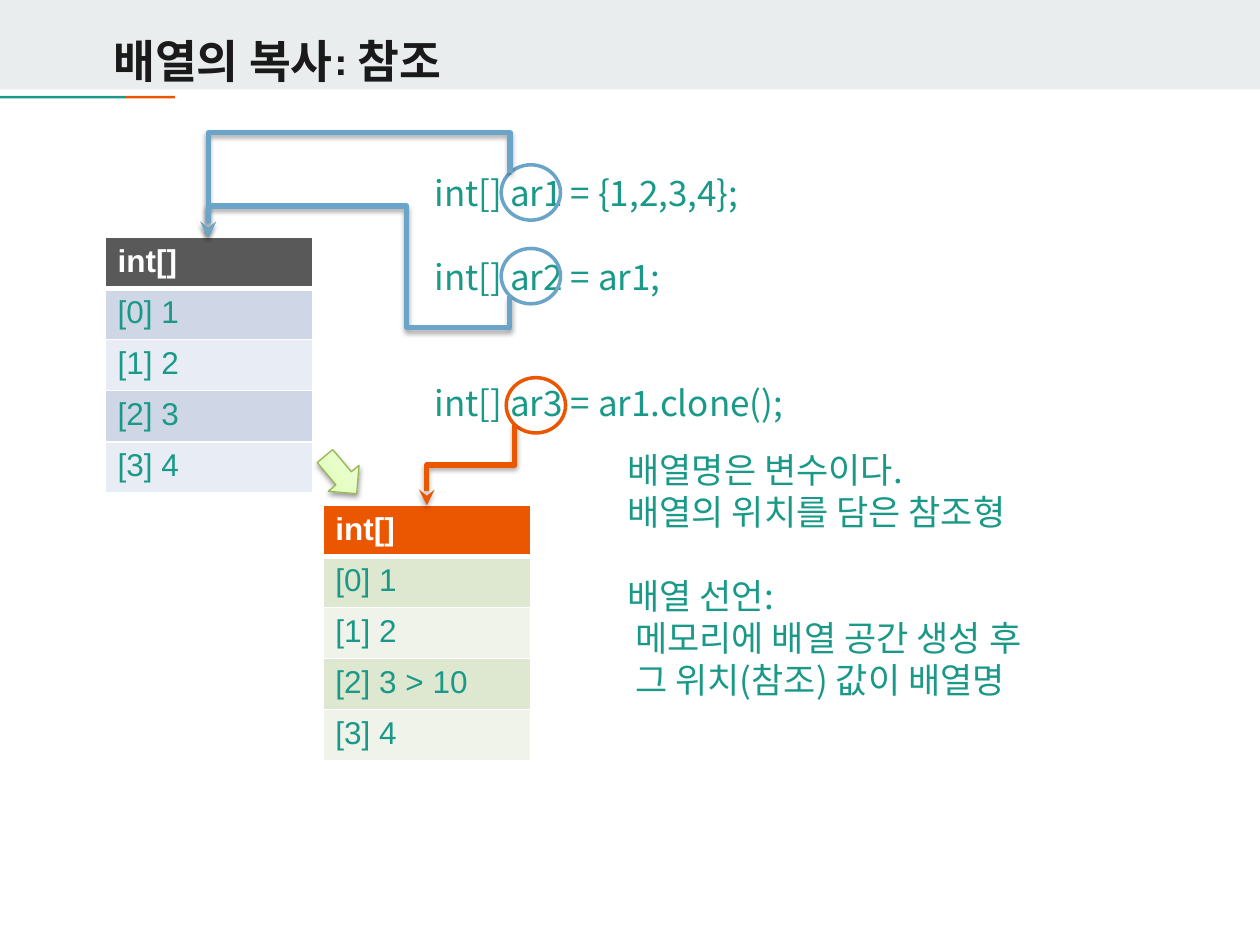
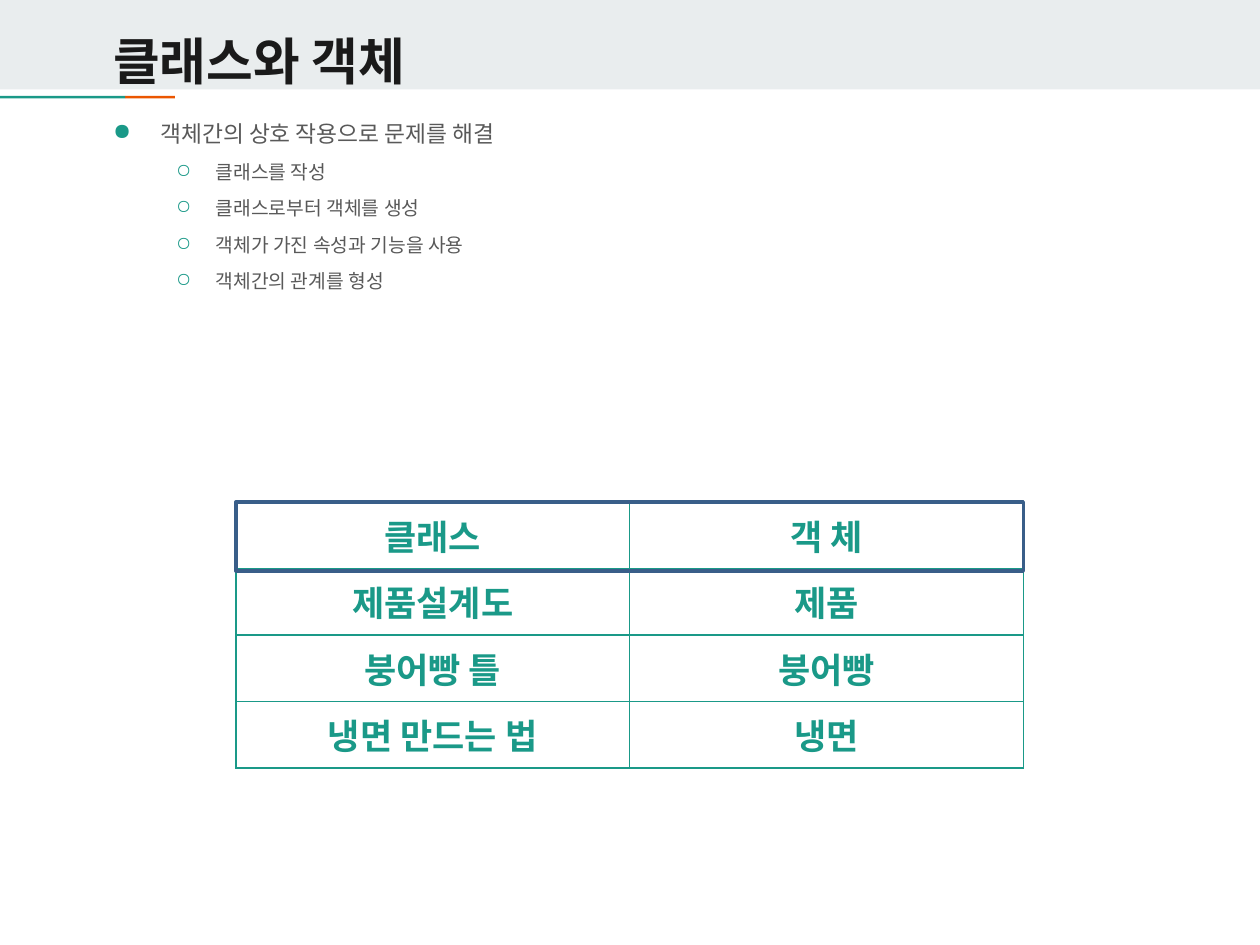
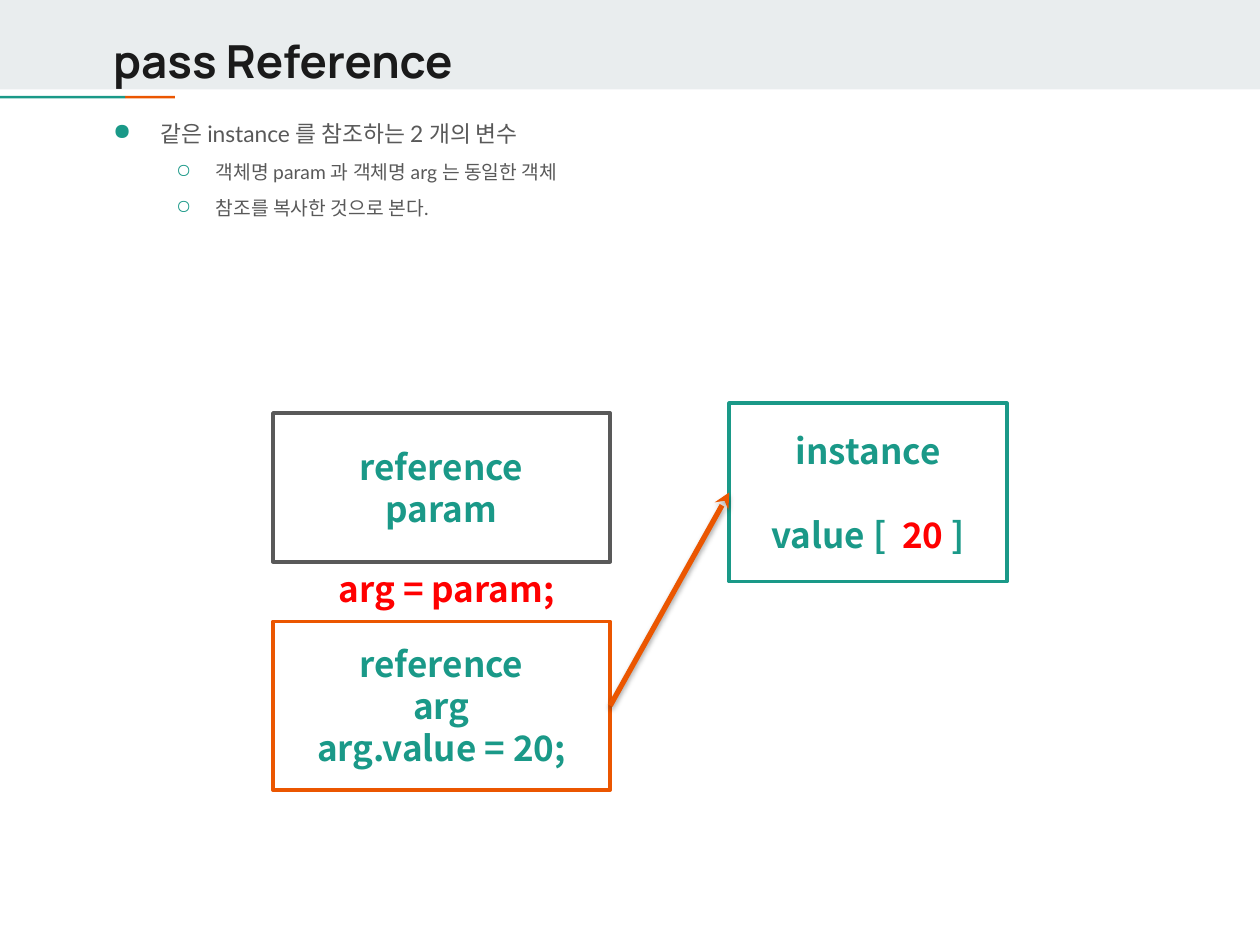
import copy
from dataclasses import dataclass

import lxml.etree
import pptx
import pptx.dml.color
import pptx.enum.dml
import pptx.enum.shapes
import pptx.enum.text
import pptx.oxml.ns
import pptx.presentation
import pptx.shapes.autoshape
import pptx.shapes.connector
import pptx.slide
import pptx.table
import pptx.text.text
import pptx.util

Pt = pptx.util.Pt
RGBColor = pptx.dml.color.RGBColor
Shapes = pptx.enum.shapes.MSO_SHAPE
Connectors = pptx.enum.shapes.MSO_CONNECTOR
Anchor = pptx.enum.text.MSO_ANCHOR
Align = pptx.enum.text.PP_ALIGN
qn = pptx.oxml.ns.qn

WHITE = RGBColor(0xFF, 0xFF, 0xFF)
BAND = RGBColor(0xE9, 0xED, 0xEE)
INK = RGBColor(0x1A, 0x1A, 0x1A)
GRAY = RGBColor(0x59, 0x59, 0x59)
TEAL = RGBColor(0x1A, 0x99, 0x88)
ORANGE = RGBColor(0xEB, 0x56, 0x00)
BLUE = RGBColor(0x6A, 0xA4, 0xC8)
NAVY = RGBColor(0x39, 0x5E, 0x89)
RED = RGBColor(0xFF, 0x00, 0x00)
LEAF = RGBColor(0x97, 0xB8, 0x53)
BLUE_ROWS = (RGBColor(0xCF, 0xD7, 0xE7), RGBColor(0xE8, 0xEC, 0xF4))
GREEN_ROWS = (RGBColor(0xDE, 0xE7, 0xD0), RGBColor(0xEF, 0xF3, 0xE9))
COPY_GRADIENT = (
    (0, RGBColor(0xDA, 0xFE, 0xA4)),
    (0.35, RGBColor(0xE3, 0xFE, 0xBF)),
    (1, RGBColor(0xF4, 0xFE, 0xE6)),
)

KOREAN = "Noto Sans CJK KR"
LINE_HEIGHT = 24


@dataclass(frozen=True)
class Box:
    left: float
    top: float
    width: float
    height: float

    def emu(self) -> tuple:
        return Pt(self.left), Pt(self.top), Pt(self.width), Pt(self.height)


@dataclass(frozen=True)
class Style:
    size: float
    font: str
    color: RGBColor
    bold: bool = False


@dataclass(frozen=True)
class Line:
    text: str
    blank_lines: int = 0
    highlight: str = ""


@dataclass(frozen=True)
class Route:
    start: tuple[float, float]
    end: tuple[float, float]
    color: RGBColor
    bends: tuple[float, ...]


@dataclass(frozen=True)
class ArrayTable:
    left: float
    top: float
    values: tuple[str, ...]
    header: RGBColor
    rows: tuple[RGBColor, RGBColor]


@dataclass(frozen=True)
class Node:
    box: Box
    color: RGBColor
    lines: tuple[Line, ...]


BODY = Style(20, KOREAN, TEAL)
BODY_BOLD = Style(20, KOREAN, TEAL, True)


def add_xml(parent: lxml.etree._Element, tag: str, **attributes: object) -> lxml.etree._Element:
    child = lxml.etree.SubElement(parent, qn(tag))
    for key, value in attributes.items():
        child.set(key, str(value))
    return child


def add_color(parent: lxml.etree._Element, color: RGBColor) -> lxml.etree._Element:
    return add_xml(parent, "a:srgbClr", val=color)


def style_run(run: pptx.text.text._Run, style: Style) -> None:
    run.font.size = Pt(style.size)
    run.font.bold = style.bold
    run.font.name = style.font
    run.font.color.rgb = style.color
    add_xml(run.font._element, "a:ea", typeface=KOREAN)


def style_paragraph(paragraph: pptx.text.text._Paragraph, style: Style) -> None:
    for run in paragraph.runs:
        style_run(run, style)


def write_lines(frame: pptx.text.text.TextFrame, lines: tuple[Line, ...], style: Style,
                align: Align = Align.LEFT) -> None:
    frame.word_wrap = True
    frame.text = "\n".join(line.text for line in lines)
    for paragraph, line in zip(frame.paragraphs, lines):
        paragraph.alignment = align
        paragraph.line_spacing = Pt(LINE_HEIGHT)
        if line.blank_lines:
            paragraph.space_before = Pt(LINE_HEIGHT * line.blank_lines)
        if line.highlight:
            before, marked, after = line.text.partition(line.highlight)
            paragraph.text = before
            for part in (marked, after):
                paragraph.add_run().text = part
        style_paragraph(paragraph, style)
        for run in paragraph.runs:
            if run.text == line.highlight:
                run.font.color.rgb = RED


def add_text(slide: pptx.slide.Slide, box: Box, lines: tuple[Line, ...], style: Style,
             align: Align = Align.LEFT) -> None:
    write_lines(slide.shapes.add_textbox(*box.emu()).text_frame, lines, style, align)


def add_block(slide: pptx.slide.Slide, kind: Shapes, box: Box, fill: RGBColor | None = None,
              line: RGBColor | None = None, width: float = 2) -> pptx.shapes.autoshape.Shape:
    block = slide.shapes.add_shape(kind, *box.emu())
    block.shadow.inherit = False
    if fill is None:
        block.fill.background()
    else:
        block.fill.solid()
        block.fill.fore_color.rgb = fill
    if line is None:
        block.line.fill.background()
    else:
        block.line.color.rgb = line
        block.line.width = Pt(width)
    return block


def add_shadow(effects: lxml.etree._Element, opacity: int, distance: float) -> None:
    shadow = add_xml(effects, "a:outerShdw", blurRad=Pt(3.1), dist=Pt(distance),
                     dir=5400000, rotWithShape=0)
    add_xml(add_color(shadow, RGBColor(0, 0, 0)), "a:alpha", val=opacity * 1000)


def finish_arrow(arrow: pptx.shapes.connector.Connector, color: RGBColor) -> None:
    arrow.line.color.rgb = color
    arrow.line.width = Pt(3)
    properties = arrow.element.spPr
    add_xml(properties.find(qn("a:ln")), "a:tailEnd", type="stealth")
    add_shadow(add_xml(properties, "a:effectLst"), 35, 1.8)


def add_route(slide: pptx.slide.Slide, route: Route) -> None:
    (start_x, start_y), (end_x, end_y) = route.start, route.end
    center_x, center_y = (start_x + end_x) / 2, (start_y + end_y) / 2
    across, down = (end_y - start_y) / 2, (start_x - end_x) / 2
    arrow = slide.shapes.add_connector(
        Connectors.ELBOW, Pt(center_x - across), Pt(center_y - down),
        Pt(center_x + across), Pt(center_y + down))
    properties = arrow.element.spPr
    properties.find(qn("a:xfrm")).set("rot", "5400000")
    geometry = properties.find(qn("a:prstGeom"))
    geometry.set("prst", f"bentConnector{len(route.bends) + 2}")
    guides = geometry.find(qn("a:avLst"))
    if guides is None:
        guides = add_xml(geometry, "a:avLst")
    for number, bend in enumerate(route.bends, 1):
        name = f"adj{number}"
        add_xml(guides, "a:gd", name=name, fmla=f"val {round(bend * 100000)}")
    finish_arrow(arrow, route.color)


def set_borders(cell: pptx.table._Cell, color: RGBColor, bottom: float = 1) -> None:
    properties = cell._tc.get_or_add_tcPr()
    for position, (side, width) in enumerate((("L", 1), ("R", 1), ("T", 1), ("B", bottom))):
        border = add_xml(properties, f"a:ln{side}", w=Pt(width))
        add_color(add_xml(border, "a:solidFill"), color)
        properties.insert(position, border)


def add_grid(slide: pptx.slide.Slide, box: Box, rows: int, columns: int) -> pptx.table.Table:
    grid = slide.shapes.add_table(rows, columns, *box.emu()).table
    grid.first_row = grid.horz_banding = False
    return grid


def add_array(slide: pptx.slide.Slide, array: ArrayTable) -> None:
    labels = ("int[]", *(f"[{index}] {value}" for index, value in enumerate(array.values)))
    grid = add_grid(slide, Box(array.left, array.top, 118.8, 29.2 * len(labels)), len(labels), 1)
    for row, label in enumerate(labels):
        cell = grid.cell(row, 0)
        header = row == 0
        cell.text_frame.text = label
        cell.fill.solid()
        cell.fill.fore_color.rgb = array.header if header else array.rows[(row - 1) % 2]
        style_paragraph(cell.text_frame.paragraphs[0],
                        Style(18, "Arial", WHITE if header else TEAL, header))
        set_borders(cell, WHITE, 3 if header else 1)


def add_bullets(slide: pptx.slide.Slide, heading: str, items: tuple[str, ...]) -> None:
    frame = slide.shapes.add_textbox(*Box(57.6, 62.6, 605.5, 393).emu()).text_frame
    frame.word_wrap = True
    frame.text = "\n".join((heading, *items))
    for position, paragraph in enumerate(frame.paragraphs):
        nested = position > 0
        paragraph.line_spacing = 1.15
        if nested:
            paragraph.level = 1
            paragraph.space_before = Pt(5.6)
        margin, hanging = (58.5, 22.5) if nested else (27, 27)
        properties = paragraph._p.get_or_add_pPr()
        properties.set("marL", str(Pt(margin)))
        properties.set("indent", str(-Pt(hanging)))
        add_color(add_xml(properties, "a:buClr"), TEAL)
        add_xml(properties, "a:buChar", char="○" if nested else "●")
        style_paragraph(paragraph, Style(11 if nested else 13, "Lato", GRAY))


def add_page(deck: pptx.presentation.Presentation, title: str, size: float) -> pptx.slide.Slide:
    slide = deck.slides.add_slide(deck.slide_layouts[6])
    add_block(slide, Shapes.RECTANGLE, Box(0, 0, 720, 51.2), BAND)
    add_block(slide, Shapes.RECTANGLE, Box(71.5, 54.8, 28.5, 1.5), ORANGE)
    add_block(slide, Shapes.RECTANGLE, Box(0, 54.8, 71.5, 1.5), TEAL)
    frame = slide.shapes.add_textbox(*Box(57.6, 6.5, 605.5, 56.2).emu()).text_frame
    frame.word_wrap = True
    frame.vertical_anchor = Anchor.MIDDLE
    frame.text = title
    style_paragraph(frame.paragraphs[0], Style(size, "Manrope", INK, True))
    return slide


def add_copy_arrow(slide: pptx.slide.Slide) -> None:
    arrow = add_block(slide, Shapes.RIGHT_ARROW, Box(180.7, 259.9, 28.1, 23), WHITE, LEAF, 0.75)
    arrow.rotation = 49.8
    arrow.fill.gradient()
    arrow.fill.gradient_angle = 90
    stops = arrow.element.spPr.find(qn("a:gradFill")).find(qn("a:gsLst"))
    stops.append(copy.deepcopy(stops[0]))
    for stop, (position, color) in zip(arrow.fill.gradient_stops, COPY_GRADIENT):
        stop.position = position
        stop.color.rgb = color
    add_shadow(arrow.element.spPr.find(qn("a:effectLst")), 38, 1.6)


def build_array_copy(deck: pptx.presentation.Presentation) -> None:
    slide = add_page(deck, "배열의 복사: 참조", 26)
    add_array(slide, ArrayTable(60, 135.7, ("1", "2", "3", "4"), GRAY, BLUE_ROWS))
    add_text(slide, Box(241.2, 94.3, 221, 152.6), (
        Line("int[] ar1 = {1,2,3,4};"),
        Line("int[] ar2 = ar1;", 1),
        Line("int[] ar3 = ar1.clone();", 2),
    ), BODY)
    add_array(slide, ArrayTable(184.5, 288.7, ("1", "2", "3 > 10", "4"), ORANGE, GREEN_ROWS))
    for left, top, color in ((286.4, 94.2, BLUE), (286.4, 142, BLUE), (289.3, 215.8, ORANGE)):
        add_block(slide, Shapes.OVAL, Box(left, top, 33.9, 31.6), line=color)
    for route in (
        Route((291.4, 98.8), (119, 135.7), BLUE, (-0.62,)),
        Route((291.4, 169.2), (119, 135.7), BLUE, (-0.535, 0.342, 1.535)),
        Route((294.2, 242.7), (243.9, 288.7), ORANGE, (0.5,)),
    ):
        add_route(slide, route)
    add_copy_arrow(slide)
    add_text(slide, Box(351.4, 252.7, 314.6, 152.6), (
        Line("배열명은 변수이다."),
        Line("배열의 위치를 담은 참조형"),
        Line("배열 선언:", 1),
        Line(" 메모리에 배열 공간 생성 후"),
        Line(" 그 위치(참조) 값이 배열명"),
    ), BODY)


def build_class_and_object(deck: pptx.presentation.Presentation) -> None:
    slide = add_page(deck, "클래스와 객체", 29)
    add_bullets(slide, "객체간의 상호 작용으로 문제를 해결", (
        "클래스를 작성",
        "클래스로부터 객체를 생성",
        "객체가 가진 속성과 기능을 사용",
        "객체간의 관계를 형성",
    ))
    pairs = (
        ("클래스", "객 체"),
        ("제품설계도", "제품"),
        ("붕어빵 틀", "붕어빵"),
        ("냉면 만드는 법", "냉면"),
    )
    grid = add_grid(slide, Box(134.8, 286.8, 450, 152), len(pairs), 2)
    for row, pair in enumerate(pairs):
        for column, label in enumerate(pair):
            cell = grid.cell(row, column)
            cell.fill.background()
            cell.vertical_anchor = Anchor.MIDDLE
            cell.text_frame.text = label
            paragraph = cell.text_frame.paragraphs[0]
            paragraph.alignment = Align.CENTER
            style_paragraph(paragraph, Style(20, "Arial", TEAL, True))
            set_borders(cell, TEAL)
    add_block(slide, Shapes.RECTANGLE, Box(134.8, 286.8, 450, 39.4), line=NAVY)


def build_pass_reference(deck: pptx.presentation.Presentation) -> None:
    slide = add_page(deck, "pass Reference", 26)
    add_bullets(slide, "같은 instance 를 참조하는 2 개의 변수", (
        "객체명 param 과 객체명 arg 는 동일한 객체",
        "참조를 복사한 것으로 본다.",
    ))
    for node in (
        Node(Box(416.7, 230.4, 158.7, 102), TEAL,
             (Line("instance"), Line("value [  20 ]", 1, "20"))),
        Node(Box(156, 236, 192.7, 85), GRAY, (Line("reference"), Line("param"))),
        Node(Box(156, 355, 192.7, 96.4), ORANGE,
             (Line("reference"), Line("arg"), Line("arg.value = 20;"))),
    ):
        block = add_block(slide, Shapes.RECTANGLE, node.box, WHITE, node.color)
        block.text_frame.vertical_anchor = Anchor.MIDDLE
        write_lines(block.text_frame, node.lines, BODY_BOLD, Align.CENTER)
    arrow = slide.shapes.add_connector(
        Connectors.STRAIGHT, Pt(348.7), Pt(403.2), Pt(416.7), Pt(281.4))
    finish_arrow(arrow, ORANGE)
    add_text(slide, Box(156, 321, 198.5, 31.5), (Line("arg = param;"),),
             Style(20, KOREAN, RED, True), Align.CENTER)


def main() -> None:
    deck = pptx.Presentation()
    deck.slide_width, deck.slide_height = Pt(720), Pt(540)
    build_array_copy(deck)
    build_class_and_object(deck)
    build_pass_reference(deck)
    deck.save("out.pptx")


if __name__ == "__main__":
    main()
